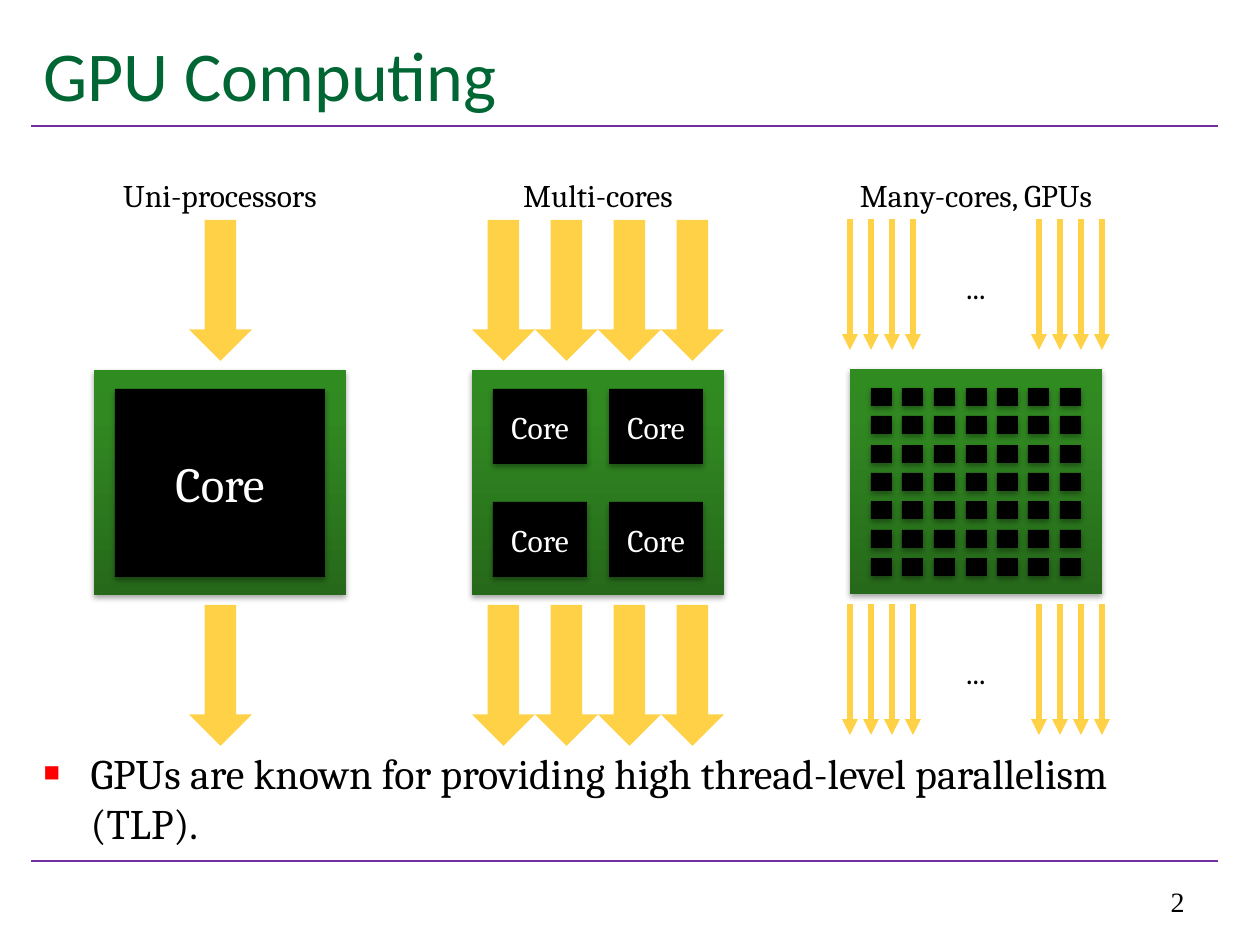
from dataclasses import dataclass

from lxml.etree import SubElement
from copy import deepcopy
from pptx import Presentation
from pptx.dml.color import RGBColor
from pptx.enum.shapes import MSO_CONNECTOR, MSO_SHAPE
from pptx.enum.text import MSO_ANCHOR, MSO_AUTO_SIZE, PP_ALIGN
from pptx.oxml.ns import qn
from pptx.util import Emu, Pt

PX = 914400 / 126

GREEN = RGBColor(0x00, 0x66, 0x33)
PURPLE = RGBColor(0x70, 0x30, 0xA0)
YELLOW = RGBColor(0xFF, 0xD1, 0x47)
RED = RGBColor(0xFF, 0x00, 0x00)
BLACK = RGBColor(0x00, 0x00, 0x00)
WHITE = RGBColor(0xFF, 0xFF, 0xFF)
BOARD_STOPS = (
    (0, RGBColor(0x26, 0x69, 0x1A)),
    (0.8, RGBColor(0x31, 0x89, 0x22)),
    (1, RGBColor(0x30, 0x8C, 0x20)),
)

BOARD_WIDTH, BOARD_HEIGHT = 252, 225
ARROW_WIDTH, ARROW_HEIGHT = 63, 141
THREAD_LENGTH, THREAD_GAP = 131, 21


@dataclass(frozen=True)
class Box:
    left: int
    top: int
    width: int
    height: int

    def emu(self) -> list[Emu]:
        return [px(n) for n in (self.left, self.top, self.width, self.height)]


@dataclass(frozen=True)
class Style:
    size: int
    color: RGBColor = BLACK
    name: str = "Cambria"
    alignment: PP_ALIGN = PP_ALIGN.CENTER
    anchor: MSO_ANCHOR = MSO_ANCHOR.TOP
    auto_size: MSO_AUTO_SIZE = MSO_AUTO_SIZE.NONE


@dataclass(frozen=True)
class Processor:
    label: str
    label_box: Box
    board: Box
    core_lefts: list[int]
    core_tops: list[int]
    core_size: tuple[int, int]
    core_font: int = 0
    arrow_lefts: tuple[int, ...] = ()
    thread_slots: tuple[int, ...] = ()


def px(count: int) -> Emu:
    return Emu(round(count * PX))


def spread(first: int, last: int, count: int) -> list[int]:
    """Return evenly spaced positions, both ends included."""
    return [round(first + (last - first) * i / max(count - 1, 1)) for i in range(count)]


def write(shape, text: str, style: Style):
    frame = shape.text_frame
    settings = {"word_wrap": True, "vertical_anchor": style.anchor, "auto_size": style.auto_size}
    for key, value in settings.items():
        setattr(frame, key, value)
    para = frame.paragraphs[0]
    para.alignment = style.alignment
    span = para.add_run()
    span.text = text
    for key, value in {"size": Pt(style.size), "name": style.name, "bold": False}.items():
        setattr(span.font, key, value)
    span.font.color.rgb = style.color
    return para


def add_text(shapes, box: Box, text: str, style: Style) -> None:
    write(shapes.add_textbox(*box.emu()), text, style)


def fill_placeholder(shape, box: Box, text: str, style: Style):
    for key, value in zip(("left", "top", "width", "height"), box.emu()):
        setattr(shape, key, value)
    return write(shape, text, style)


def add_bullet(para, indent: int) -> None:
    properties = para._p.get_or_add_pPr()
    properties.set("marL", str(px(indent)))
    properties.set("indent", str(-px(indent)))
    color = SubElement(properties, qn("a:buClr"))
    SubElement(color, qn("a:srgbClr"), val=str(RED))
    SubElement(properties, qn("a:buSzPct"), val="65000")
    SubElement(properties, qn("a:buChar"), char="■")


def add_line(shapes, start: tuple[int, int], end: tuple[int, int],
             color: RGBColor, points: float, arrow: bool = False) -> None:
    line = shapes.add_connector(MSO_CONNECTOR.STRAIGHT, *map(px, start + end))
    line.line.color.rgb = color
    line.line.width = Pt(points)
    if arrow:
        SubElement(line.line._get_or_add_ln(), qn("a:tailEnd"), type="triangle")
    SubElement(line._element.spPr, qn("a:effectLst"))


def add_solid(shapes, kind: MSO_SHAPE, box: Box, color: RGBColor):
    shape = shapes.add_shape(kind, *box.emu())
    shape.fill.solid()
    shape.fill.fore_color.rgb = color
    shape.line.fill.background()
    shape.shadow.inherit = False
    return shape


def add_shadow(shape) -> None:
    effects = shape._element.spPr.find(qn("a:effectLst"))
    shadow = SubElement(effects, qn("a:outerShdw"), blurRad="40000", dist="23000",
                        dir="5400000", rotWithShape="0")
    color = SubElement(shadow, qn("a:srgbClr"), val=str(BLACK))
    SubElement(color, qn("a:alpha"), val="35000")


def add_board(shapes, box: Box) -> None:
    board = add_solid(shapes, MSO_SHAPE.RECTANGLE, box, BLACK)
    board.fill.gradient()
    board.fill.gradient_angle = 90
    stop_list = board._element.spPr.find(qn("a:gradFill")).find(qn("a:gsLst"))
    stop_list.append(deepcopy(stop_list[-1]))
    for stop, (position, color) in zip(board.fill.gradient_stops, BOARD_STOPS):
        stop.position = position
        stop.color.rgb = color
    add_shadow(board)


def add_processor(page, item: Processor) -> None:
    shapes = page.shapes.add_group_shape().shapes
    board = item.board
    add_board(shapes, board)
    for top in item.core_tops:
        for left in item.core_lefts:
            core = add_solid(shapes, MSO_SHAPE.RECTANGLE, Box(left, top, *item.core_size), BLACK)
            add_shadow(core)
            if item.core_font:
                write(core, "Core", Style(item.core_font, WHITE, anchor=MSO_ANCHOR.MIDDLE))
    caption = Style(18, auto_size=MSO_AUTO_SIZE.SHAPE_TO_FIT_TEXT)
    for top in (board.top - 150, board.top + BOARD_HEIGHT + 10):
        for left in item.arrow_lefts:
            add_solid(shapes, MSO_SHAPE.DOWN_ARROW,
                      Box(left, top, ARROW_WIDTH, ARROW_HEIGHT), YELLOW)
        for slot in item.thread_slots:
            x = board.left + slot * THREAD_GAP
            add_line(shapes, (x, top), (x, top + THREAD_LENGTH), YELLOW, 3, arrow=True)
        if item.thread_slots:
            add_text(shapes, Box(board.left, top + 43, BOARD_WIDTH, 46), "...", caption)
    add_text(shapes, item.label_box, item.label, caption)


PROCESSORS = (
    Processor("Uni-processors", Box(94, 170, 252, 50), Box(94, 370, BOARD_WIDTH, BOARD_HEIGHT),
              [115], [389], (210, 188), 28, arrow_lefts=(189,)),
    Processor("Multi-cores", Box(472, 170, 252, 50), Box(472, 370, BOARD_WIDTH, BOARD_HEIGHT),
              [493, 609], [389, 502], (94, 75), 18,
              arrow_lefts=tuple(472 + ARROW_WIDTH * i for i in range(4))),
    Processor("Many-cores, GPUs", Box(829, 170, 294, 50), Box(850, 369, BOARD_WIDTH, BOARD_HEIGHT),
              spread(871, 1060, 7), spread(388, 558, 7), (21, 18),
              thread_slots=(0, 1, 2, 3, 9, 10, 11, 12)),
)


def main() -> None:
    deck = Presentation()
    deck.slide_width, deck.slide_height = px(1260), px(945)
    page = deck.slides.add_slide(deck.slide_layouts[1])
    for y in (126, 861):
        add_line(page.shapes, (31, y), (1218, y), PURPLE, 1.5)
    fill_placeholder(page.shapes.title, Box(31, 21, 1187, 105), "GPU Computing",
                     Style(40, GREEN, "Calibri", PP_ALIGN.LEFT, MSO_ANCHOR.MIDDLE))
    para = fill_placeholder(
        page.placeholders[1], Box(31, 741, 1187, 210),
        "GPUs are known for providing high thread-level parallelism (TLP).",
        Style(24, alignment=PP_ALIGN.LEFT))
    add_bullet(para, 47)
    add_text(page.shapes, Box(903, 861, 294, 63), "2",
             Style(16, BLACK, "Times New Roman", PP_ALIGN.RIGHT, MSO_ANCHOR.BOTTOM))
    for item in PROCESSORS:
        add_processor(page, item)
    deck.save("out.pptx")


if __name__ == "__main__":
    main()
